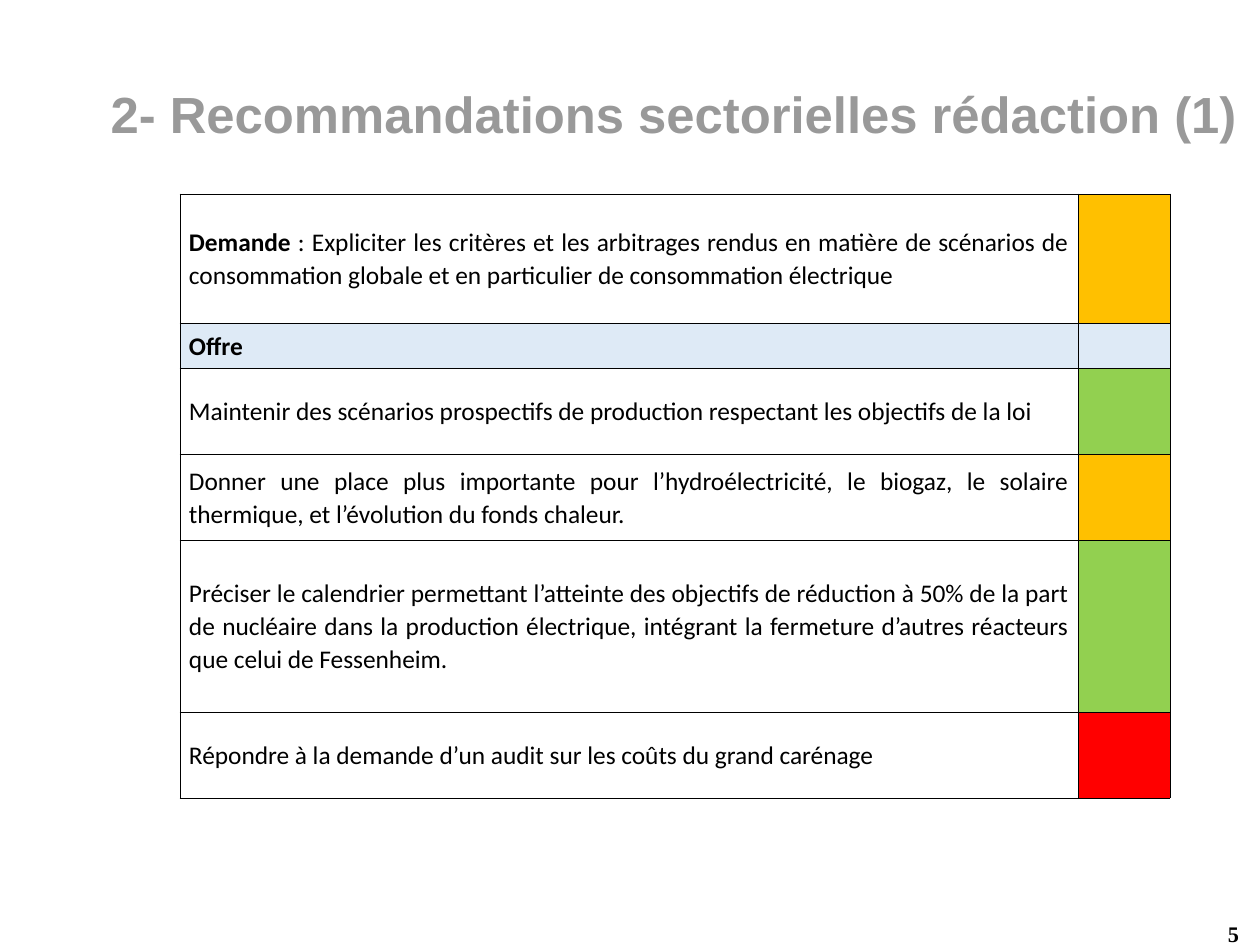
from lxml.etree import SubElement
from pptx import Presentation
from pptx.dml.color import RGBColor
from pptx.enum.text import MSO_ANCHOR, PP_ALIGN
from pptx.oxml.ns import qn
from pptx.util import Pt

PX = 8000  # EMU
SLIDE_WIDTH, SLIDE_HEIGHT = 1260, 945
COLORS = {
    "black": "000000", "title": "999999", "white": "FFFFFF", "section": "DEEAF6",
    "partial": "FFC000", "done": "92D050", "refused": "FF0000",
}

TITLE = "2- Recommandations sectorielles rédaction (1)"
PAGE_NUMBER = "5"
# row height, bold text, regular text, text background, status
RECOMMENDATIONS = [
    (129, "Demande", " : Expliciter les critères et les arbitrages rendus en matière de scénarios "
     "de consommation globale et en particulier de consommation électrique", "white", "partial"),
    (45, "Offre", "", "section", "section"),
    (86, "", "Maintenir des scénarios prospectifs de production respectant les objectifs de la loi",
     "white", "done"),
    (86, "", "Donner une place plus importante pour l’hydroélectricité, le biogaz, le solaire "
     "thermique, et l’évolution du fonds chaleur.", "white", "partial"),
    (172, "", "Préciser le calendrier permettant l’atteinte des objectifs de réduction à 50% de la "
     "part de nucléaire dans la production électrique, intégrant la fermeture d’autres réacteurs "
     "que celui de Fessenheim.", "white", "done"),
    (86, "", "Répondre à la demande d’un audit sur les coûts du grand carénage", "white", "refused"),
]
TABLE_LEFT, TABLE_TOP = 180, 194
COLUMN_WIDTHS = [898, 92]
CELL_MARGIN_X, CELL_MARGIN_Y = 9, 6


def px(*lengths):
    return [length * PX for length in lengths]


def rgb(name):
    return RGBColor.from_string(COLORS[name])


def style(run, font, size, color, bold):
    run.font.name = font
    run.font.size = Pt(size)
    run.font.color.rgb = rgb(color)
    run.font.bold = bold


def set_margins(area, x, y):
    area.margin_left = area.margin_right = x * PX
    area.margin_top = area.margin_bottom = y * PX


def add_label(slide, box, text, align, anchor, *look):
    frame = slide.shapes.add_textbox(*px(*box)).text_frame
    frame.word_wrap = True
    frame.vertical_anchor = anchor
    set_margins(frame, 0, 0)
    frame.text = text
    paragraph = frame.paragraphs[0]
    paragraph.alignment = align
    style(paragraph.runs[0], *look)
    return paragraph


def paint(cell, color):
    """Give the cell thin black borders and a solid fill."""
    properties = cell._tc.get_or_add_tcPr()
    for side in ("a:lnL", "a:lnR", "a:lnT", "a:lnB"):
        line = SubElement(properties, qn(side), w=str(Pt(0.45)))
        fill = SubElement(line, qn("a:solidFill"))
        SubElement(fill, qn("a:srgbClr"), val=COLORS["black"])
    cell.fill.solid()
    cell.fill.fore_color.rgb = rgb(color)


def write(cell, bold_text, regular_text):
    set_margins(cell, CELL_MARGIN_X, CELL_MARGIN_Y)
    cell.vertical_anchor = MSO_ANCHOR.MIDDLE
    paragraph = cell.text_frame.paragraphs[0]
    paragraph.alignment = PP_ALIGN.JUSTIFY
    paragraph.line_spacing = 1.07
    for text, bold in ((bold_text, True), (regular_text, False)):
        if text:
            run = paragraph.add_run()
            run.text = text
            style(run, "Calibri", 16, "black", bold)


def add_recommendations(slide):
    heights = [row[0] for row in RECOMMENDATIONS]
    table = slide.shapes.add_table(
        len(heights), len(COLUMN_WIDTHS),
        *px(TABLE_LEFT, TABLE_TOP, sum(COLUMN_WIDTHS), sum(heights))).table
    table.first_row = table.horz_banding = False
    for column, width in zip(table.columns, COLUMN_WIDTHS):
        column.width = width * PX
    for row, (height, bold_text, regular_text, background, status) in zip(table.rows, RECOMMENDATIONS):
        row.height = height * PX
        text_cell, status_cell = row.cells
        write(text_cell, bold_text, regular_text)
        set_margins(status_cell, 0, 0)
        paint(text_cell, background)
        paint(status_cell, status)


def main():
    deck = Presentation()
    deck.slide_width, deck.slide_height = px(SLIDE_WIDTH, SLIDE_HEIGHT)
    slide = deck.slides.add_slide(deck.slide_layouts[6])
    title = add_label(slide, (108, 38, 1133, 157), TITLE, PP_ALIGN.CENTER, MSO_ANCHOR.MIDDLE,
                      "Arial", 32, "title", True)
    title.line_spacing = 0.93
    add_recommendations(slide)
    add_label(slide, (1116, 920, 123, 32), PAGE_NUMBER, PP_ALIGN.RIGHT, MSO_ANCHOR.TOP,
              "Times New Roman", 14, "black", True)
    deck.save("out.pptx")


if __name__ == "__main__":
    main()
